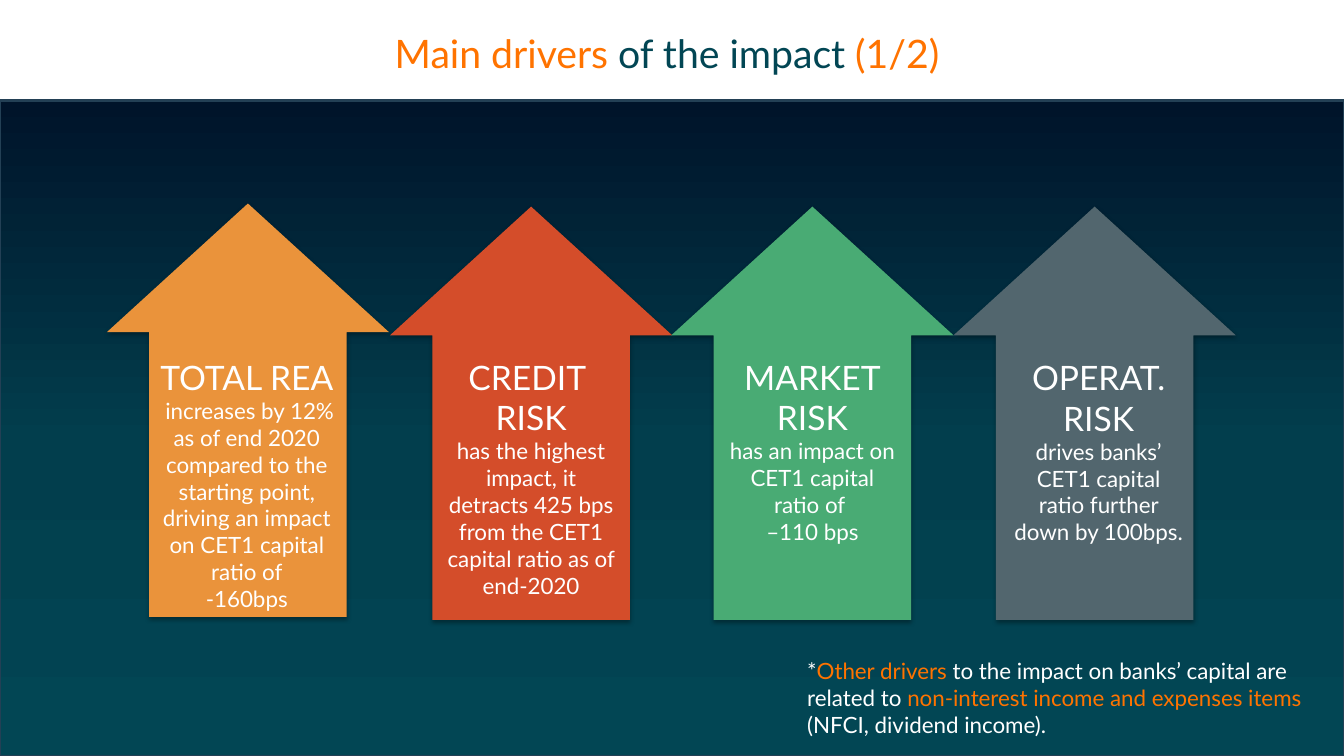
from copy import deepcopy
from dataclasses import dataclass

from lxml import etree
from pptx import Presentation
from pptx.dml.color import RGBColor
from pptx.enum.shapes import MSO_SHAPE
from pptx.enum.text import MSO_AUTO_SIZE, PP_ALIGN
from pptx.oxml.ns import qn
from pptx.util import Pt

RECT, ARROW = MSO_SHAPE.RECTANGLE, MSO_SHAPE.UP_ARROW
LEFT, CENTER = PP_ALIGN.LEFT, PP_ALIGN.CENTER
GROW = MSO_AUTO_SIZE.SHAPE_TO_FIT_TEXT


@dataclass(frozen=True)
class Theme:
    """Colours, font and type sizes of the slide."""
    font: str = "Lato"
    title: int = 28
    head: int = 24
    body: int = 16
    accent: str = "FF7300"
    teal: str = "024654"
    white: str = "FFFFFF"
    edge: str = "234055"
    fade: tuple = ((0, "00142A"), (0.52, "023E4D"), (1, "024654"))
    amber: str = "EA933B"
    red: str = "D44D2A"
    green: str = "49AB74"
    slate: str = "52666E"


class Painter:
    """Draws themed elements on the current slide."""

    def __init__(self, theme, slide):
        self.theme = theme
        self.slide = slide

    def shape(self, kind, box):
        shape = self.slide.shapes.add_shape(kind, *map(Pt, box))
        shape.shadow.inherit = False
        return shape

    def panel(self, box):
        panel = self.shape(RECT, box)
        fill = panel.fill
        fill.gradient()
        fill.gradient_angle = 270
        stops = next(panel._element.spPr.iter(qn("a:gsLst")))
        stops.insert(1, deepcopy(stops[0]))
        for stop, (place, color) in zip(fill.gradient_stops, self.theme.fade):
            stop.position = place
            stop.color.rgb = RGBColor.from_string(color)
        panel.line.color.rgb = RGBColor.from_string(self.theme.edge)
        panel.line.width = Pt(2)

    def arrow(self, box, color):
        arrow = self.shape(ARROW, box)
        arrow.adjustments[0] = 0.7
        arrow.adjustments[1] = 0.456
        arrow.fill.solid()
        arrow.fill.fore_color.rgb = RGBColor.from_string(color)
        arrow.line.fill.background()
        effects = arrow._element.spPr.find(qn("a:effectLst"))
        shade = etree.SubElement(effects, qn("a:outerShdw"), blurRad=str(Pt(3.1)),
                                 dist=str(Pt(1.8)), dir="5400000", rotWithShape="0")
        black = etree.SubElement(shade, qn("a:srgbClr"), val="000000")
        etree.SubElement(black, qn("a:alpha"), val="35000")

    def text(self, box, lines, align=CENTER, pitch=None):
        frame = self.slide.shapes.add_textbox(*map(Pt, box)).text_frame
        frame.word_wrap = True
        frame.auto_size = GROW
        for index, runs in enumerate(lines):
            para = frame.paragraphs[0] if index == 0 else frame.add_paragraph()
            para.alignment = align
            if pitch:
                para.line_spacing = pitch
            for words, size, color in runs:
                run = para.add_run()
                run.text = words
                run.font.name = self.theme.font
                run.font.size = Pt(size)
                run.font.color.rgb = RGBColor.from_string(color)

    def driver(self, arrow, label, color, heads, body):
        theme = self.theme
        self.arrow((*arrow, 201.6, 295.2), color)
        lines = [[(words, theme.head, theme.white)] for words in heads]
        lines += [[(words, theme.body, theme.white)] for words in body]
        self.text((*label, 190), lines)


def main():
    """Build the slide and save it."""
    deck = Presentation()
    deck.slide_width, deck.slide_height = Pt(960), Pt(540)
    theme = Theme()
    paint = Painter(theme, deck.slides.add_slide(deck.slide_layouts[6]))

    paint.text((0, 10.8, 960, 44.6), [[
        ("Main drivers ", theme.title, theme.accent),
        ("of the impact", theme.title, theme.teal),
        (" (1/2) ", theme.title, theme.accent)]], pitch=1.2)
    paint.panel((0, 72, 960, 468))

    drivers = [
        ((76.3, 145.4), (105.8, 251.3, 141.1), theme.amber, ["TOTAL REA"],
         [" increases by 12% as of end 2020 compared to the starting point, "
          "driving an impact on CET1 capital ratio of", "-160bps"]),
        ((278.6, 147.6), (311, 251.3, 136.8), theme.red, ["CREDIT ", "RISK"],
         ["has the highest impact, it detracts 425 bps from the CET1",
          "capital ratio as of end-2020"]),
        ((479.5, 147.6), (511.9, 251.3, 136.8), theme.green, ["MARKET", "RISK"],
         ["has an impact on CET1 capital ratio of ", "–110 bps"]),
        ((681.1, 147.6), (716.4, 251.6, 136.8), theme.slate, ["OPERAT.", "RISK"],
         ["drives banks’ CET1 capital ratio further down by 100bps."]),
    ]
    for driver in drivers:
        paint.driver(*driver)

    paint.text((569.5, 465.8, 402.5, 65.5), [[
        ("*", theme.body, theme.white),
        ("Other drivers ", theme.body, theme.accent),
        ("to the impact on banks’ capital are related to ", theme.body, theme.white),
        ("non-interest income and expenses items ", theme.body, theme.accent),
        ("(NFCI, dividend income).", theme.body, theme.white)]], LEFT)
    deck.save("out.pptx")


if __name__ == "__main__":
    main()
